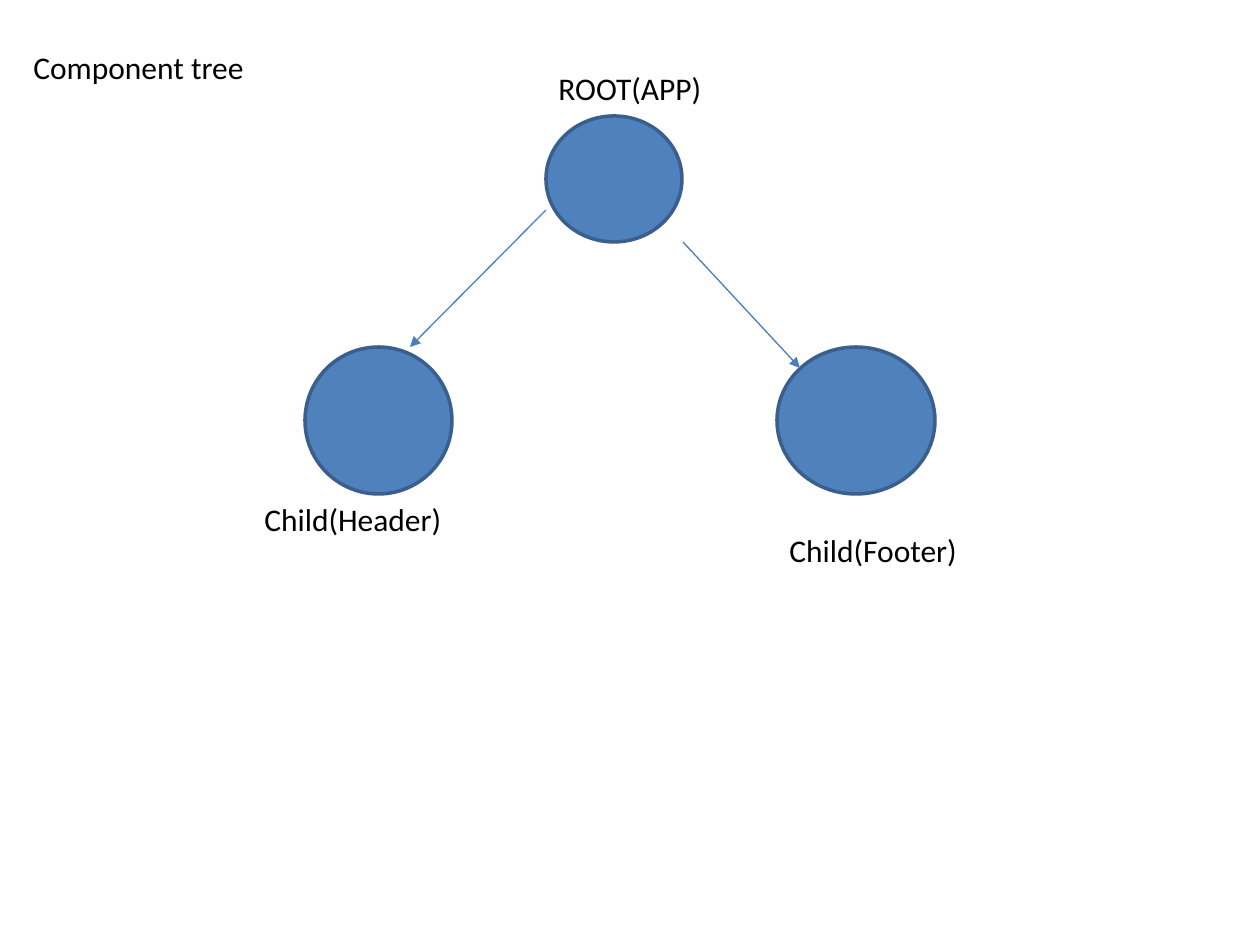
from typing import NamedTuple

from lxml.etree import SubElement
from pptx import Presentation
from pptx.dml.color import RGBColor
from pptx.enum.shapes import MSO_CONNECTOR, MSO_SHAPE
from pptx.enum.text import MSO_AUTO_SIZE
from pptx.oxml.ns import qn
from pptx.slide import Slide
from pptx.util import Emu, Pt

NODE_FILL = RGBColor(0x4F, 0x81, 0xBD)
NODE_LINE = RGBColor(0x3A, 0x5F, 0x8C)
ARROW_LINE = RGBColor(0x4B, 0x7E, 0xBC)
BLACK = RGBColor(0, 0, 0)


class Node(NamedTuple):
    left: int
    top: int
    width: int
    height: int


class Arrow(NamedTuple):
    start_x: int
    start_y: int
    end_x: int
    end_y: int


class Label(NamedTuple):
    text: str
    left: int
    top: int
    width: int
    height: int


NODES = [
    Node(546, 116, 136, 126),
    Node(305, 347, 147, 147),
    Node(777, 347, 158, 147),
]
ARROWS = [
    Arrow(546, 210, 410, 347),
    Arrow(683, 242, 800, 368),
]
LABELS = [
    Label("ROOT(APP)", 546, 63, 168, 53),
    Label("Child(Header)", 252, 494, 242, 50),
    Label("Child(Footer)", 777, 525, 231, 89),
    Label("Component tree", 21, 42, 305, 50),
]


def px(length: int) -> Emu:
    """Turn pixels, 126 to the inch, into EMU."""
    return Emu(round(length * 914400 / 126))


def draw_node(page: Slide, node: Node) -> None:
    circle = page.shapes.add_shape(MSO_SHAPE.OVAL, *map(px, node))
    circle.shadow.inherit = False
    circle.fill.solid()
    circle.fill.fore_color.rgb = NODE_FILL
    circle.line.color.rgb = NODE_LINE
    circle.line.width = Pt(2)


def draw_arrow(page: Slide, arrow: Arrow) -> None:
    connector = page.shapes.add_connector(MSO_CONNECTOR.STRAIGHT, *map(px, arrow))
    connector.line.color.rgb = ARROW_LINE
    connector.line.width = Pt(0.75)
    SubElement(connector.line._get_or_add_ln(), qn("a:tailEnd"), type="triangle")
    SubElement(connector._element.spPr, qn("a:effectLst"))


def add_text(page: Slide, label: Label, *, size: int = 18,
             color: RGBColor = BLACK, font: str = "Calibri") -> None:
    text, *frame = label
    box = page.shapes.add_textbox(*map(px, frame))
    box.text_frame.word_wrap = True
    box.text_frame.auto_size = MSO_AUTO_SIZE.SHAPE_TO_FIT_TEXT
    span = box.text_frame.paragraphs[0].add_run()
    span.text = text
    span.font.name = font
    span.font.size = Pt(size)
    span.font.color.rgb = color


def main() -> None:
    deck = Presentation()
    deck.slide_width, deck.slide_height = px(1260), px(945)
    page = deck.slides.add_slide(deck.slide_layouts[6])
    for node in NODES:
        draw_node(page, node)
    for arrow in ARROWS:
        draw_arrow(page, arrow)
    for label in LABELS:
        add_text(page, label)
    deck.save("out.pptx")


if __name__ == "__main__":
    main()
